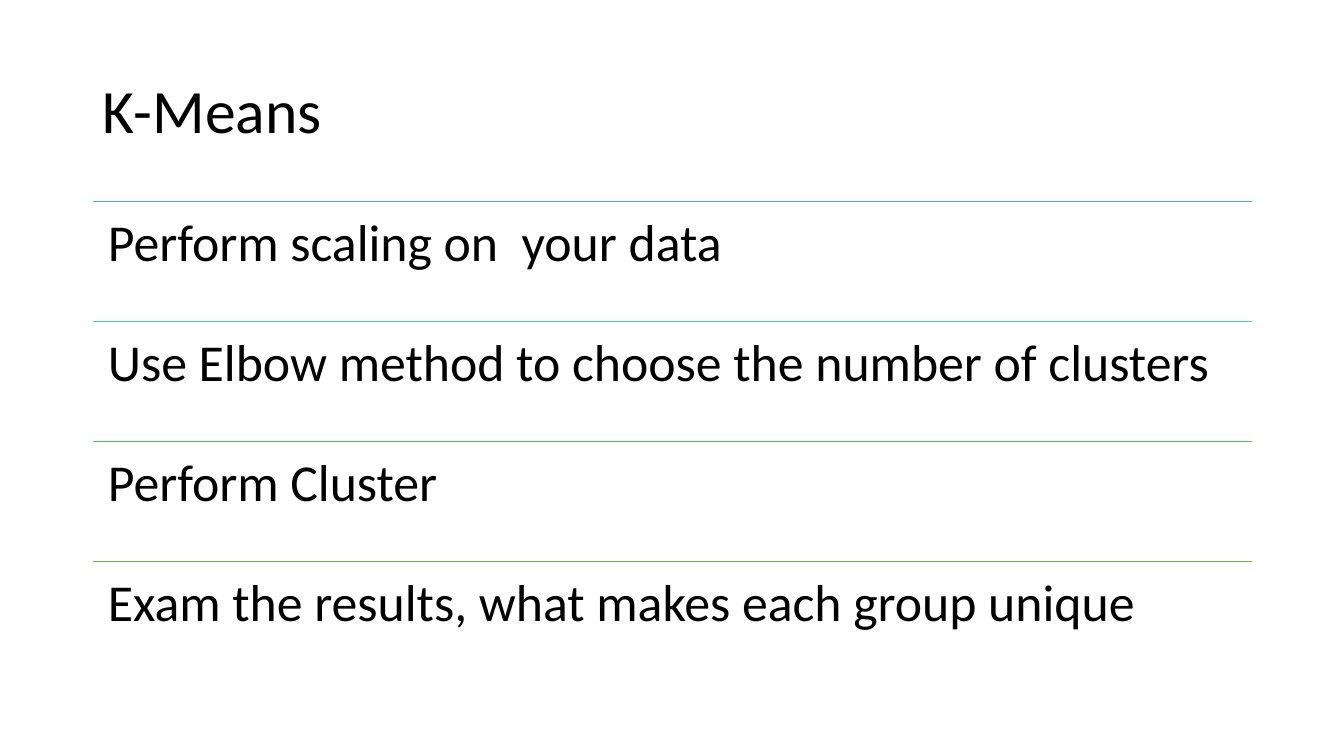
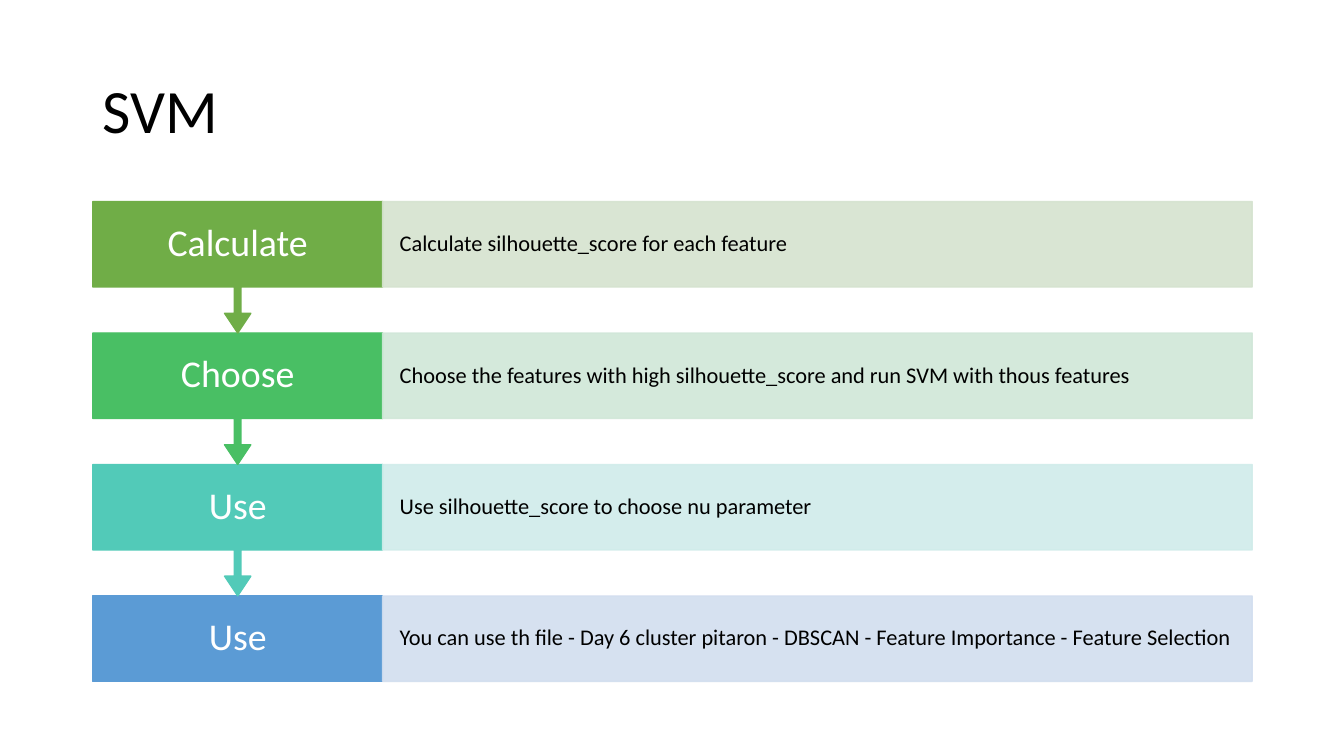
from pptx import Presentation
from pptx.dml.color import RGBColor
from pptx.enum.shapes import MSO_CONNECTOR, MSO_SHAPE
from pptx.enum.text import MSO_ANCHOR, MSO_AUTO_SIZE, PP_ALIGN
from pptx.oxml.ns import qn
from pptx.util import Inches, Pt
from lxml import etree

RECTANGLE = MSO_SHAPE.RECTANGLE
ARROW_CALLOUT = MSO_SHAPE.DOWN_ARROW_CALLOUT
STRAIGHT = MSO_CONNECTOR.STRAIGHT
TOP, MIDDLE = MSO_ANCHOR.TOP, MSO_ANCHOR.MIDDLE
LEFT, CENTER = PP_ALIGN.LEFT, PP_ALIGN.CENTER
NO_FIT = MSO_AUTO_SIZE.NONE

FONT = "Calibri"
BLACK, WHITE = "000000", "FFFFFF"
BLUE, TEAL, GREEN, OLIVE = "5B9BD5", "52CAB8", "49BF64", "70AD47"
TITLE_BOX = (0.92, 0.4, 11.5, 1.45)
CONTENT_BOX = (0.92, 2, 11.5, 4.76)
TITLE_ONLY = 5

K_MEANS_STEPS = [
    ("Perform\u00a0scaling on\u00a0 your data", BLUE),
    ("Use Elbow method to choose the number of clusters", TEAL),
    ("Perform Cluster", GREEN),
    ("Exam the results, what makes each group unique", OLIVE),
]
SVM_STEPS = [
    ("Calculate", "Calculate\u00a0silhouette_score for each feature", OLIVE, "D5E3CF"),
    ("Choose", "Choose the features with high\u00a0silhouette_score and run SVM with thous features",
     GREEN, "D0E7D8"),
    ("Use", "Use\u00a0silhouette_score to choose nu parameter", TEAL, "D0ECEA"),
    ("Use", "You can use th file - Day 6 cluster pitaron - DBSCAN - Feature Importance - "
     "Feature Selection", BLUE, "D2DEEF"),
]


def rgb(color):
    return RGBColor.from_string(color)


def inches(*lengths):
    return [Inches(length) for length in lengths]


def write(shape, text, size, color=BLACK, align=LEFT, anchor=MIDDLE, insets=(0.1, 0.05)):
    frame = shape.text_frame
    frame.text = text
    frame.word_wrap = True
    frame.auto_size = NO_FIT
    frame.vertical_anchor = anchor
    frame.margin_left = frame.margin_right = Inches(insets[0])
    frame.margin_top = frame.margin_bottom = Inches(insets[1])
    paragraph = frame.paragraphs[0]
    paragraph.alignment = align
    paragraph.line_spacing = 0.9
    font = paragraph.runs[0].font
    font.name, font.size, font.color.rgb = FONT, Pt(size), rgb(color)


def add_block(slide, kind, box, color, opacity=100):
    block = slide.shapes.add_shape(kind, *inches(*box))
    block.shadow.inherit = False
    block.fill.solid()
    block.fill.fore_color.rgb = rgb(color)
    block.line.color.rgb = rgb(color)
    block.line.width = Pt(1)
    if opacity < 100:
        for tint in block._element.spPr.iter(qn("a:srgbClr")):
            etree.SubElement(tint, qn("a:alpha"), val=str(opacity * 1000))
    return block


def add_rule(slide, left, top, width, color):
    rule = slide.shapes.add_connector(STRAIGHT, *inches(left, top, left + width, top))
    rule.line.color.rgb = rgb(color)
    rule.line.width = Pt(1)
    etree.SubElement(rule._element.spPr, qn("a:effectLst"))


def add_titled_slide(deck, heading):
    slide = deck.slides.add_slide(deck.slide_layouts[TITLE_ONLY])
    title = slide.shapes.title
    title.left, title.top, title.width, title.height = inches(*TITLE_BOX)
    write(title, heading, 44)
    return slide


def add_ruled_list(slide, box, steps):
    left, top, width, height = box
    row_height = height / len(steps)
    for index, (step, color) in enumerate(steps):
        row_top = top + index * row_height
        add_rule(slide, left, row_top, width, color)
        row = slide.shapes.add_textbox(*inches(left, row_top, width, row_height))
        write(row, step, 37, anchor=TOP, insets=(0.15, 0.15))


def add_process(slide, box, steps):
    left, top, width, height = box
    label_width = width / 4
    body_share = 0.65
    callout_height = height / (len(steps) - 1 + body_share)
    body_height = callout_height * body_share
    last = len(steps) - 1
    for index in range(last, -1, -1):
        action, detail, color, tint = steps[index]
        row_top = top + index * callout_height
        if index == last:
            label = add_block(slide, RECTANGLE, (left, row_top, label_width, body_height), color)
        else:
            label = add_block(slide, ARROW_CALLOUT,
                              (left, row_top, label_width, callout_height), color)
            for position, share in enumerate((0.05, 0.1, 0.15, body_share)):
                label.adjustments[position] = share
        write(label, action, 27, WHITE, CENTER, insets=(0.2, 0.21))
        description = add_block(
            slide, RECTANGLE,
            (left + label_width, row_top, width - label_width, body_height), tint, 90)
        write(description, detail, 16, insets=(0.17, 0.22))


deck = Presentation()
deck.slide_width, deck.slide_height = inches(13.33, 7.5)
add_ruled_list(add_titled_slide(deck, "K-Means"), CONTENT_BOX, K_MEANS_STEPS)
add_process(add_titled_slide(deck, "SVM"), CONTENT_BOX, SVM_STEPS)
deck.save("out.pptx")
